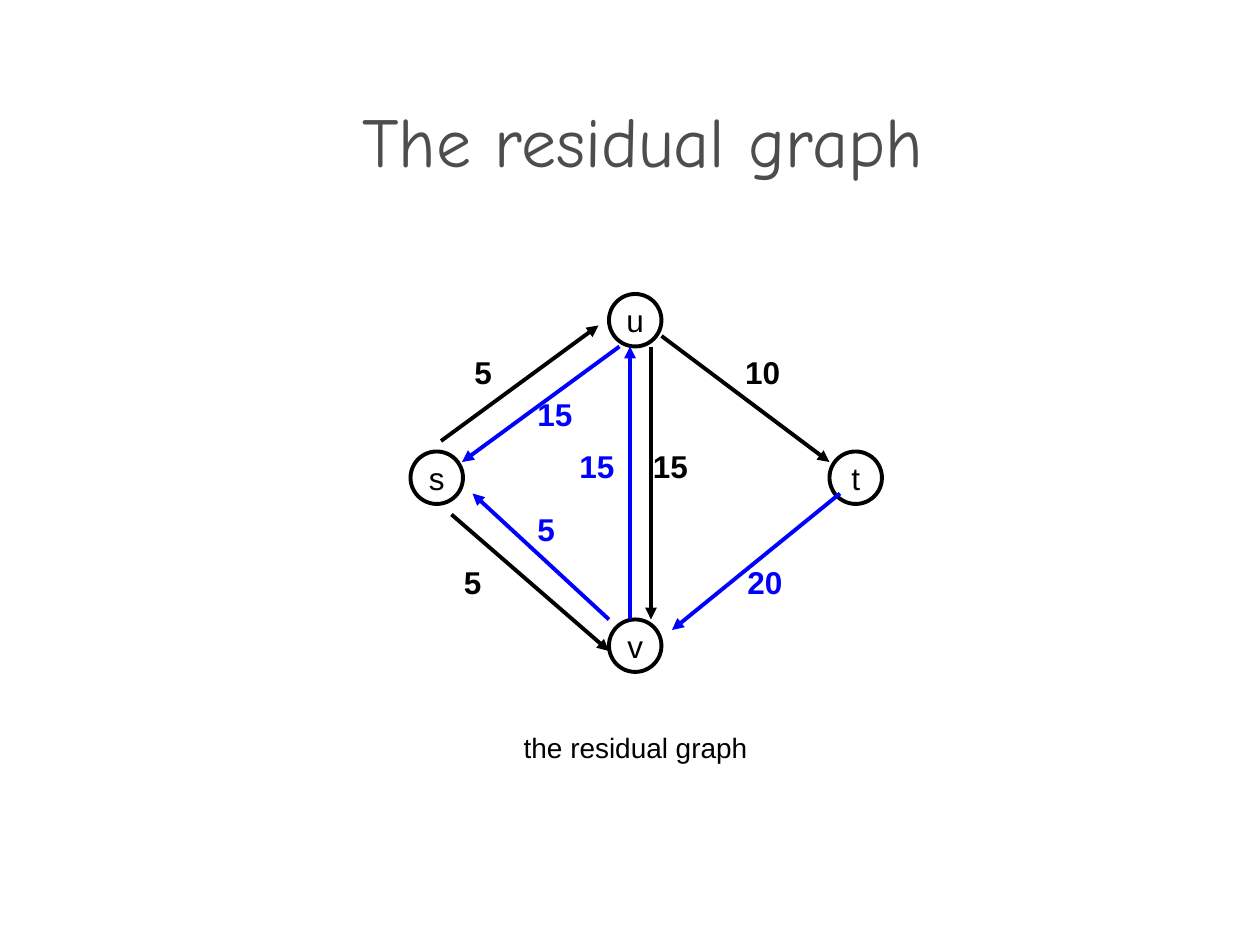
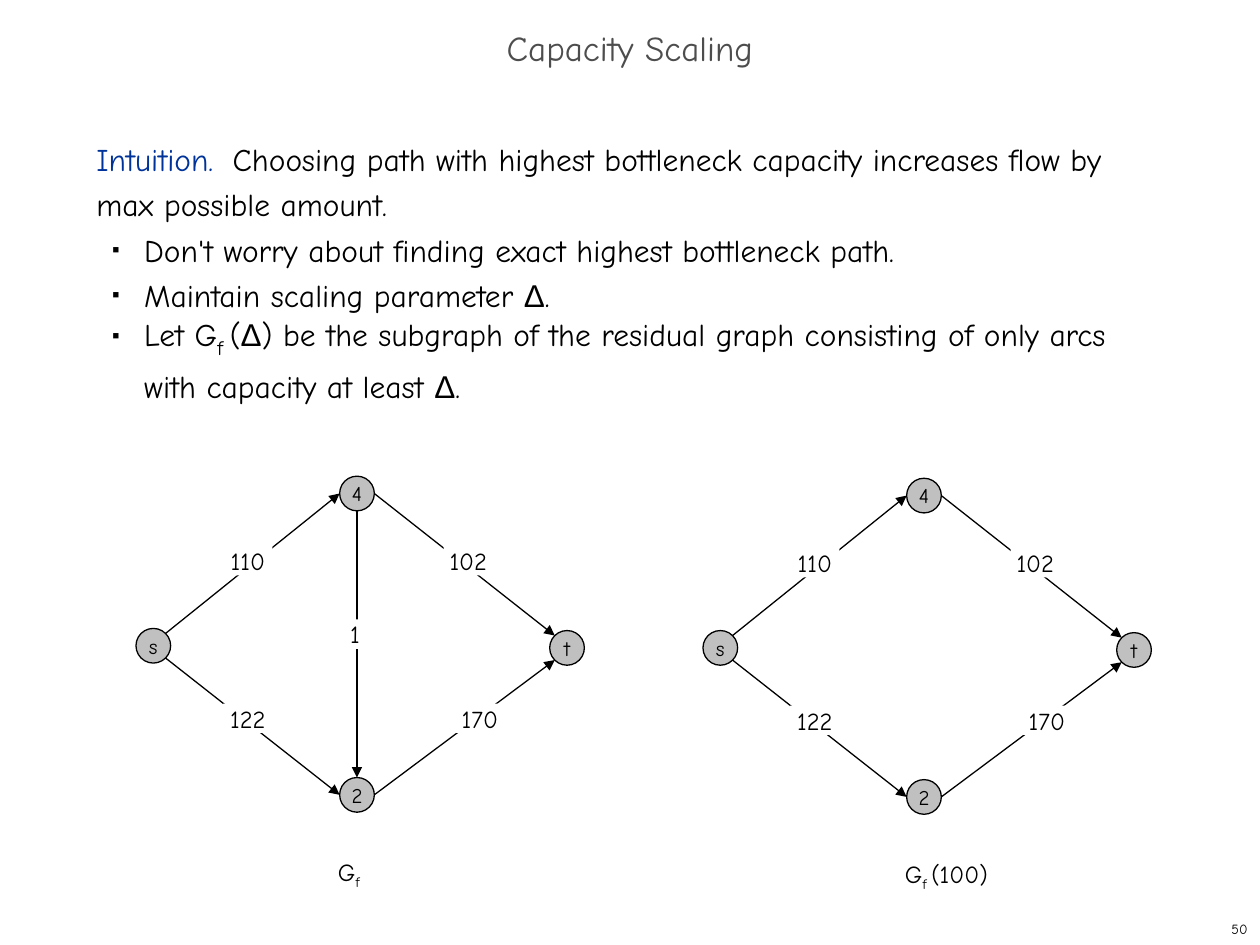
"""Build two slides on residual graphs and capacity scaling."""
import pptx
import pptx.util
import pptx.dml.color
import pptx.enum.shapes
import pptx.enum.text
import pptx.oxml.ns
from lxml import etree

HUES = {"ink": "000000", "title": "4D4D4D", "back": "0000FF", "lead": "003399",
        "node": "C0C0C0", "paper": "FFFFFF"}
CELL = pptx.util.Inches(1) / 12
COLS, ROWS = 120, 90
HAND, PLAIN = "Comic Neue", "Arial"
ALIGN = pptx.enum.text.PP_ALIGN
ANCHOR = pptx.enum.text.MSO_ANCHOR
KINDS = pptx.enum.shapes.MSO_SHAPE
DIAG = 0.707
SIDES = {"n": (0, -1), "s": (0, 1), "w": (-1, 0), "e": (1, 0),
         "ne": (DIAG, -DIAG), "se": (DIAG, DIAG),
         "nw": (-DIAG, -DIAG), "sw": (-DIAG, DIAG)}
DELTA = ("Δ", {"font": PLAIN})
SUB = {"base": -25000}


def span(*cells):
    """Turn grid cells into slide lengths."""
    return [round(c * CELL) for c in cells]


def tint(name):
    """Return the named colour."""
    return pptx.dml.color.RGBColor.from_string(HUES[name])


def add_tag(parent, tag, **attrs):
    """Append a drawing element to its parent."""
    return etree.SubElement(parent, pptx.oxml.ns.qn("a:" + tag), attrs)


def add_mark(para):
    """Give a paragraph a small square bullet."""
    props = para._p.get_or_add_pPr()
    props.set("marL", str(pptx.util.Inches(0.38)))
    props.set("indent", str(pptx.util.Inches(-0.25)))
    add_tag(add_tag(props, "buClr"), "srgbClr", val=HUES["ink"])
    add_tag(props, "buSzPct", val="35000")
    add_tag(props, "buFont", typeface=PLAIN)
    add_tag(props, "buChar", char="■")


def add_run(para, text, font=HAND, size=18, hue="ink", bold=False, base=0, gap=0):
    """Add one formatted run."""
    run = para.add_run()
    run.text = text
    run.font.name, run.font.size = font, pptx.util.Pt(size)
    run.font.bold = bold
    run.font.color.rgb = tint(hue)
    props = run._r.get_or_add_rPr()
    if base:
        props.set("baseline", str(base))
    if gap:
        props.set("spc", str(gap))


def write(shape, paras, align=ALIGN.LEFT, anchor=ANCHOR.TOP, wrap=True, pad=None,
          lead=None, marks=False, **style):
    """Fill a shape with paragraphs, each a string or a list of runs."""
    frame = shape.text_frame
    frame.word_wrap, frame.vertical_anchor = wrap, anchor
    if pad is not None:
        frame.margin_left = frame.margin_right = pad
        frame.margin_top = frame.margin_bottom = pad
    for i, runs in enumerate([paras] if isinstance(paras, str) else paras):
        para = frame.add_paragraph() if i else frame.paragraphs[0]
        if marks and i:
            para.level = 1
            add_mark(para)
        para.alignment = align
        if lead:
            para.line_spacing = lead
        for text, extra in [(runs, {})] if isinstance(runs, str) else runs:
            add_run(para, text, **{**style, **extra})


def add_box(slide, area, paras, **form):
    """Add a text box on the grid."""
    write(slide.shapes.add_textbox(*span(*area)), paras, **form)


def add_title(slide, area, text, size):
    """Add a slide title."""
    add_box(slide, area, text, size=size, hue="title", lead=0.7,
            align=ALIGN.CENTER, anchor=ANCHOR.MIDDLE)


def add_shape(slide, kind, mid, width, height, text, fill=None, line=None, **form):
    """Add a shape with centred text about a middle point."""
    x, y = mid
    shape = slide.shapes.add_shape(
        kind, *span(x - width / 2, y - height / 2, width, height))
    shape.shadow.inherit = False
    if fill:
        shape.fill.solid()
        shape.fill.fore_color.rgb = tint(fill)
    else:
        shape.fill.background()
    if line:
        shape.line.color.rgb = tint("ink")
        shape.line.width = pptx.util.Pt(line)
    else:
        shape.line.fill.background()
    write(shape, text, align=ALIGN.CENTER, anchor=ANCHOR.MIDDLE, wrap=False,
          pad=0, **form)


def add_arrow(slide, start, end, width, hue="ink"):
    """Draw an arrow between two grid points."""
    arrow = slide.shapes.add_connector(
        pptx.enum.shapes.MSO_CONNECTOR.STRAIGHT, *span(*start, *end))
    arrow.line.color.rgb = tint(hue)
    arrow.line.width = pptx.util.Pt(width)
    add_tag(arrow.line._get_or_add_ln(), "tailEnd", type="triangle")
    add_tag(arrow._element.spPr, "effectLst")


def draw_flow(slide, dx, dy, edges, name):
    """Draw one capacity graph with its caption."""
    size = 3.3
    nodes = {"s": (14.6, 61.5), "4": (34, 47), "2": (34, 75.7), "t": (54, 61.7)}
    nodes = {key: (x + dx, y + dy) for key, (x, y) in nodes.items()}

    def site(key, side):
        """Find a point on a node's rim."""
        return [m + d * size / 2 for m, d in zip(nodes[key], SIDES[side])]

    for tail, out, head, into, _, _ in edges:
        add_arrow(slide, site(tail, out), site(head, into), 0.75)
    for key, mid in nodes.items():
        add_shape(slide, KINDS.OVAL, mid, size, size, key, fill="node",
                  line=0.75, size=12)
    for *_, load, (x, y) in edges:
        add_shape(slide, KINDS.RECTANGLE, (x + dx, y + dy),
                  4.7 if len(load) > 1 else 3.7, 2.8, load, fill="paper", size=14)
    add_box(slide, (31 + dx, 81 + dy, 15, 4.4), [name], size=14)


def draw_residual(slide):
    """Fill the residual graph slide."""
    add_title(slide, (1.2, 11.3, COLS, 6), "The residual graph", 40)
    for key, mid in {"u": (60.5, 30.5), "s": (41.6, 45.5),
                     "t": (81.5, 45.5), "v": (60.5, 61.5)}.items():
        add_shape(slide, KINDS.OVAL, mid, 5, 5, key, line=2.25, font=PLAIN)
    arcs = {"ink": [((42, 42), (57, 31)), ((43, 49), (58, 62)),
                    ((62, 33), (62, 59)), ((63, 32), (79, 44))],
            "back": [((58, 59), (45, 47)), ((59, 33), (44, 44)),
                     ((60, 59), (60, 33)), ((80, 47), (64, 60))]}
    loads = {"ink": [("5", 44, 33), ("15", 61, 42), ("10", 69.8, 33), ("5", 43, 53)],
             "back": [("20", 70, 53), ("15", 54, 42), ("15", 50, 37), ("5", 50, 48)]}
    for hue in arcs:
        for start, end in arcs[hue]:
            add_arrow(slide, start, end, 2.25, hue)
        for load, x, y in loads[hue]:
            add_box(slide, (x, y, 7, 4.8), load, font=PLAIN, bold=True, hue=hue)
    add_box(slide, (48.7, 69, 26, 4.4), "the residual graph", font=PLAIN, size=16)


def draw_scaling(slide):
    """Fill the capacity scaling slide."""
    add_box(slide, (95, 87, 25, 3), "50", size=8, align=ALIGN.RIGHT,
            anchor=ANCHOR.MIDDLE)
    add_title(slide, (0, 2, COLS, 6), "Capacity Scaling", 20)
    add_box(slide, (8, 12, 103, 71), [
        [("Intuition.", {"hue": "lead"}), (" ", {"gap": 500}),
         ("Choosing path with highest bottleneck capacity increases flow by "
          "max possible amount.", {})],
        "Don't worry about finding exact highest bottleneck path.",
        [("Maintain scaling parameter ", {}), DELTA, (".", {})],
        [("Let G", {}), ("f ", {"size": 20, **SUB}), ("(", {}), DELTA,
         (") be the subgraph of the residual graph consisting of only arcs "
          "with capacity at least ", {}), DELTA, (".", {})],
    ], lead=pptx.util.Pt(26), marks=True)
    rim = [("s", "ne", "4", "w", "110", (23.6, 53.4)),
           ("s", "se", "2", "w", "122", (23.6, 68.4)),
           ("4", "e", "t", "nw", "102", (44.6, 53.4)),
           ("2", "e", "t", "sw", "170", (45.7, 68.4))]
    core = ("4", "s", "2", "n", "1", (33.8, 60.4))
    draw_flow(slide, 0, 0, rim + [core], [("G", {}), ("f", SUB)])
    draw_flow(slide, 54, 0.2, rim, [("G", {}), ("f ", SUB), ("(100)", {})])


def main():
    """Build and save the deck."""
    deck = pptx.Presentation()
    deck.slide_width, deck.slide_height = span(COLS, ROWS)
    for draw in (draw_residual, draw_scaling):
        draw(deck.slides.add_slide(deck.slide_layouts[6]))
    deck.save("out.pptx")


if __name__ == "__main__":
    main()
